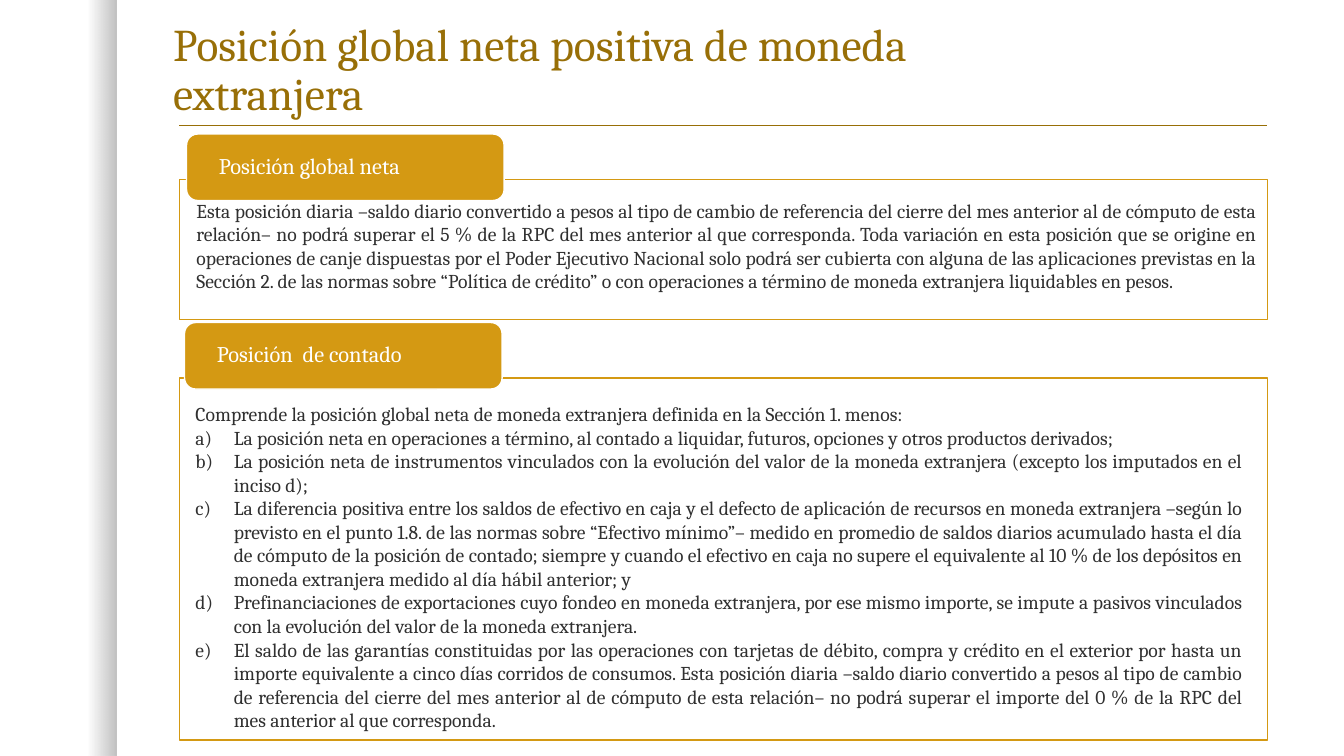
from lxml.etree import SubElement
from pptx import Presentation
from pptx.dml.color import RGBColor
from pptx.enum.shapes import MSO_CONNECTOR, MSO_SHAPE
from pptx.enum.text import MSO_ANCHOR, PP_ALIGN
from pptx.oxml.ns import qn
from pptx.util import Inches, Pt

GOLD, BROWN, INK, WHITE = "D49913", "986F07", "303030", "FFFFFF"
LEFT, WIDTH = 1.78, 10.79

NET_POSITION = [
    "Esta posición diaria –saldo diario convertido a pesos al tipo de cambio de referencia del cierre del mes anterior al de cómputo de esta relación– no podrá superar el 5 % de la RPC del mes anterior al que corresponda. Toda variación en esta posición que se origine en operaciones de canje dispuestas por el Poder Ejecutivo Nacional solo podrá ser cubierta con alguna de las aplicaciones previstas en la Sección 2. de las normas sobre “Política de crédito” o con operaciones a término de moneda extranjera liquidables en pesos.",
]
SPOT_POSITION = [
    "Comprende la posición global neta de moneda extranjera definida en la Sección 1. menos:",
    "La posición neta en operaciones a término, al contado a liquidar, futuros, opciones y otros productos derivados;",
    "La posición neta de instrumentos vinculados con la evolución del valor de la moneda extranjera (excepto los imputados en el inciso d);",
    "La diferencia positiva entre los saldos de efectivo en caja y el defecto de aplicación de recursos en moneda extranjera –según lo previsto en el punto 1.8. de las normas sobre “Efectivo mínimo”– medido en promedio de saldos diarios acumulado hasta el día de cómputo de la posición de contado; siempre y cuando el efectivo en caja no supere el equivalente al 10 % de los depósitos en moneda extranjera medido al día hábil anterior; y",
    "Prefinanciaciones de exportaciones cuyo fondeo en moneda extranjera, por ese mismo importe, se impute a pasivos vinculados con la evolución del valor de la moneda extranjera.",
    "El saldo de las garantías constituidas por las operaciones con tarjetas de débito, compra y crédito en el exterior por hasta un importe equivalente a cinco días corridos de consumos. Esta posición diaria –saldo diario convertido a pesos al tipo de cambio de referencia del cierre del mes anterior al de cómputo de esta relación– no podrá superar el importe del 0 % de la RPC del mes anterior al que corresponda.",
]


def paint(color_format, color):
    """Apply a hex colour to a colour format."""
    color_format.rgb = RGBColor.from_string(color)


def set_alpha(fill_element, percent):
    """Set the opacity of one srgbClr element's parent."""
    color = fill_element.find(qn("a:srgbClr"))
    SubElement(color, qn("a:alpha")).set("val", str(percent * 1000))


def add_box(slide, preset, box, fill, line):
    """Add a filled, outlined shape without shadow."""
    shape = slide.shapes.add_shape(preset, *map(Inches, box))
    shape.shadow.inherit = False
    shape.fill.solid()
    paint(shape.fill.fore_color, fill)
    paint(shape.line.color, line)
    shape.line.width = Pt(1)
    return shape


def write(frame, texts, size, color, frame_format, paragraph_format):
    """Fill a text frame with one paragraph per text."""
    for name, value in {"word_wrap": True, **frame_format}.items():
        setattr(frame, name, value)
    for index, text in enumerate(texts):
        paragraph = frame.add_paragraph() if index else frame.paragraphs[0]
        for name, value in paragraph_format.items():
            setattr(paragraph, name, value)
        run = paragraph.add_run()
        run.text = text
        run.font.name, run.font.size = "Cambria", Pt(size)
        paint(run.font.color, color)


def letter_items(paragraphs):
    """Number paragraphs a), b), c) with a hanging indent."""
    for paragraph in paragraphs:
        properties = paragraph._p.get_or_add_pPr()
        properties.set("marL", str(Inches(0.38)))
        properties.set("indent", str(-Inches(0.38)))
        SubElement(properties, qn("a:buAutoNum")).set("type", "alphaLcParenR")


def add_side_shade(slide, box):
    """Draw the strip that darkens towards its right edge."""
    shade = add_box(slide, MSO_SHAPE.RECTANGLE, box, WHITE, WHITE)
    shade.line.fill.background()
    shade.fill.gradient()
    shade.fill.gradient_angle = 0
    for stop, position, alpha in zip(shade.fill.gradient_stops, (0.75, 1), (0, 25)):
        stop.position = position
        paint(stop.color, "000000")
        set_alpha(stop._gs, alpha)


def add_heading(slide, box):
    """Place the title and the rule along its lower edge."""
    left, top, width, height = box
    title = slide.shapes.add_textbox(*map(Inches, (left - 0.16, top, 8.86, height)))
    write(title.text_frame, ["Posición global neta positiva de moneda extranjera"], 32.4, BROWN,
          {"vertical_anchor": MSO_ANCHOR.BOTTOM}, {"line_spacing": 0.9})
    ends = map(Inches, (left, top + height, left + width, top + height))
    rule = slide.shapes.add_connector(MSO_CONNECTOR.STRAIGHT, *ends)
    paint(rule.line.color, BROWN)
    rule.line.width = Pt(0.5)
    SubElement(rule._element.spPr, qn("a:effectLst"))


def add_section(slide, box, label, tab_offset, texts, text_offset, text_width):
    """Place a framed panel with its tab and body text."""
    left, top, _, height = box
    panel = add_box(slide, MSO_SHAPE.RECTANGLE, box, WHITE, GOLD)
    set_alpha(panel._element.spPr.find(qn("a:solidFill")), 90)

    tab_box = (left + tab_offset[0], top + tab_offset[1], 3.15, 0.66)
    tab = add_box(slide, MSO_SHAPE.ROUNDED_RECTANGLE, tab_box, GOLD, WHITE)
    write(tab.text_frame, [label], 16, WHITE,
          {"vertical_anchor": MSO_ANCHOR.MIDDLE, "margin_left": Inches(0.29),
           "margin_right": Inches(0.29), "margin_top": 0, "margin_bottom": 0},
          {"alignment": PP_ALIGN.LEFT, "line_spacing": 0.9})

    dx, dy = text_offset
    body = slide.shapes.add_textbox(*map(Inches, (left + dx, top + dy, text_width, height - dy)))
    write(body.text_frame, texts, 14, INK, {}, {"alignment": PP_ALIGN.JUSTIFY})
    letter_items(body.text_frame.paragraphs[1:])


def main():
    """Build the slide and save it."""
    deck = Presentation()
    deck.slide_width, deck.slide_height = Inches(13.33), Inches(7.5)
    slide = deck.slides.add_slide(deck.slide_layouts[6])
    add_side_shade(slide, (0, 0, 1.16, 7.5))
    add_section(slide, (LEFT, 3.75, WIDTH, 3.59), "Posición  de contado", (0.05, -0.55),
                SPOT_POSITION, (0.06, 0.19), 10.59)
    add_section(slide, (LEFT, 1.78, WIDTH, 1.39), "Posición global neta", (0.07, -0.45),
                NET_POSITION, (0.07, 0.14), 10.72)
    add_heading(slide, (LEFT, 0.58, WIDTH, 0.66))
    deck.save("out.pptx")


if __name__ == "__main__":
    main()
